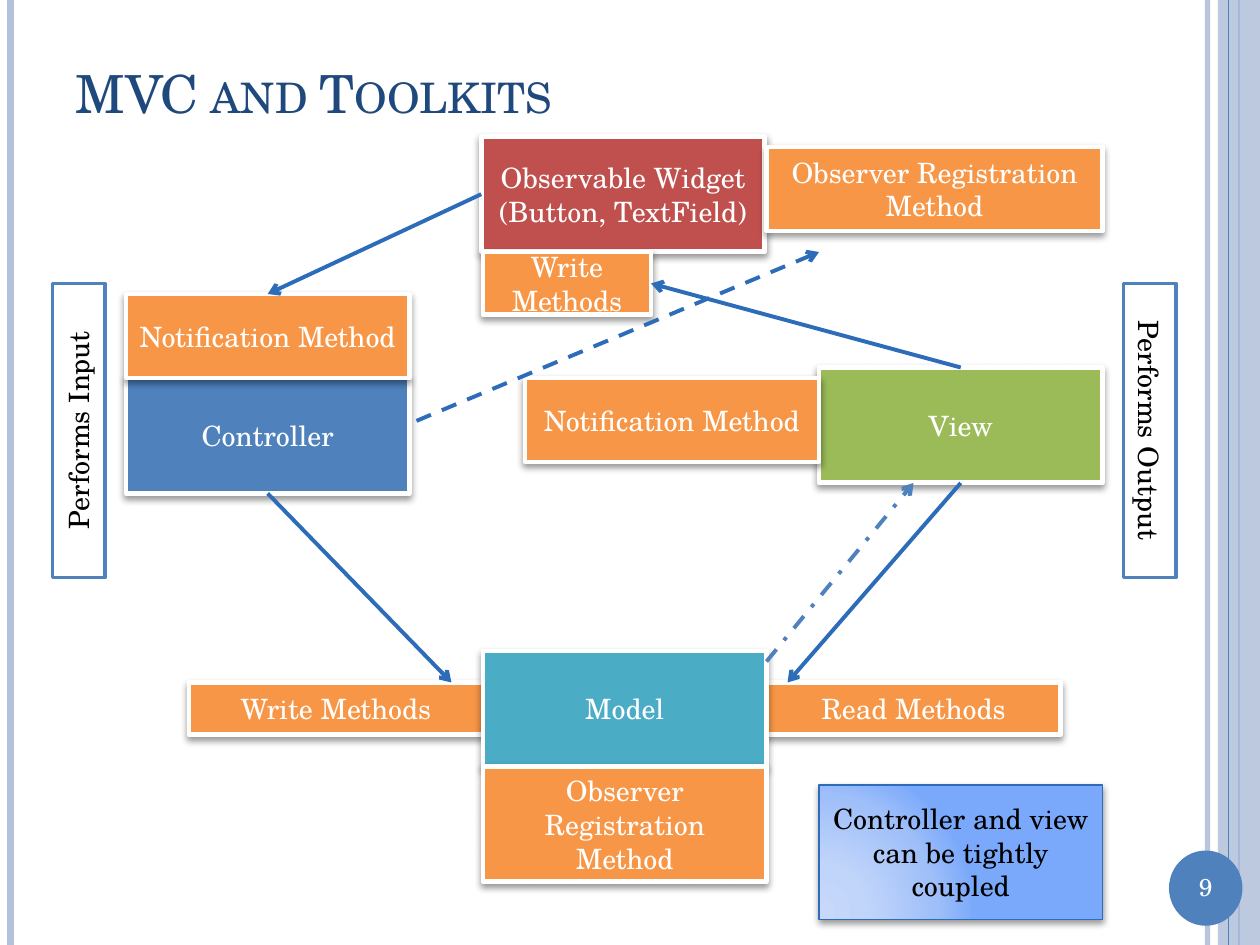
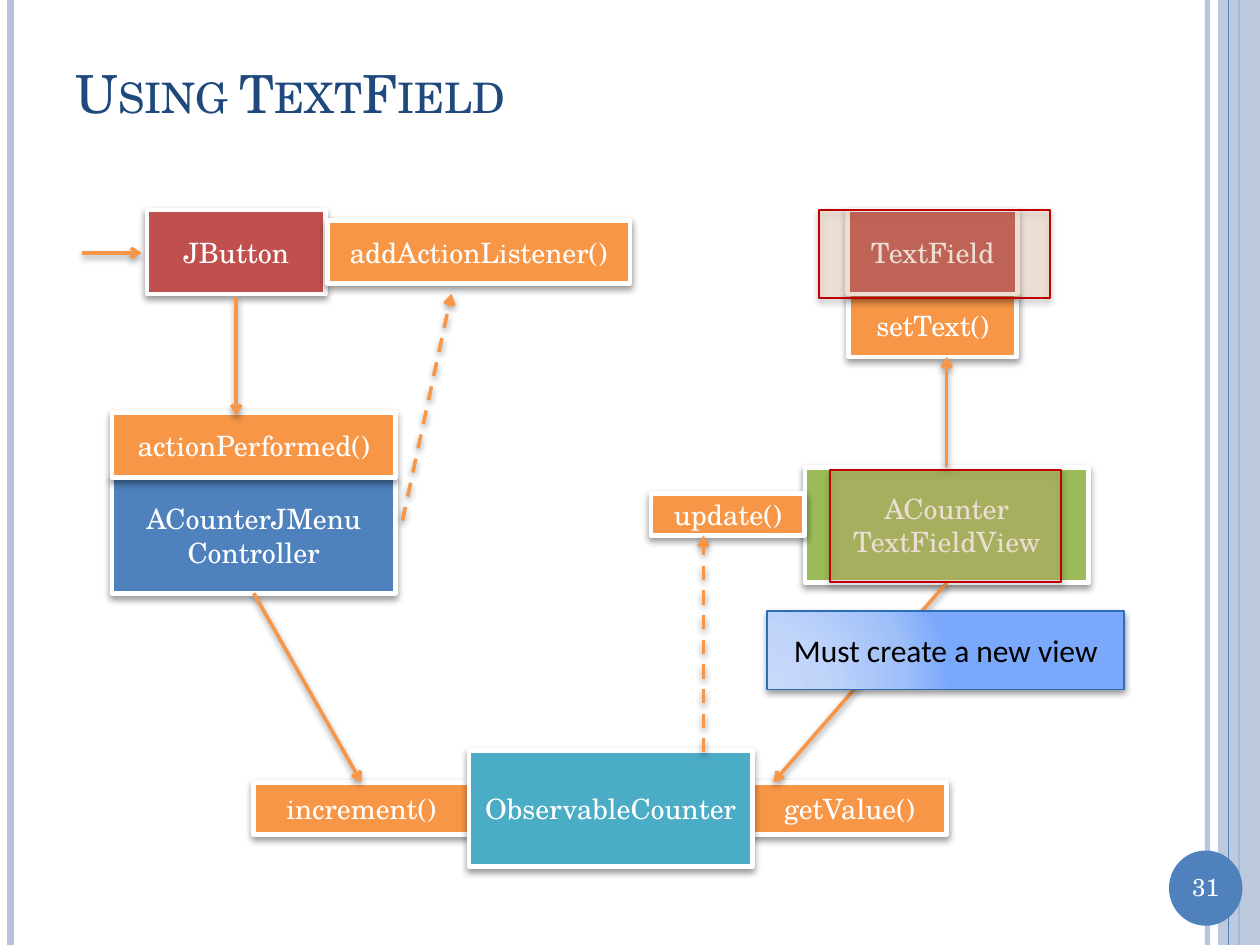
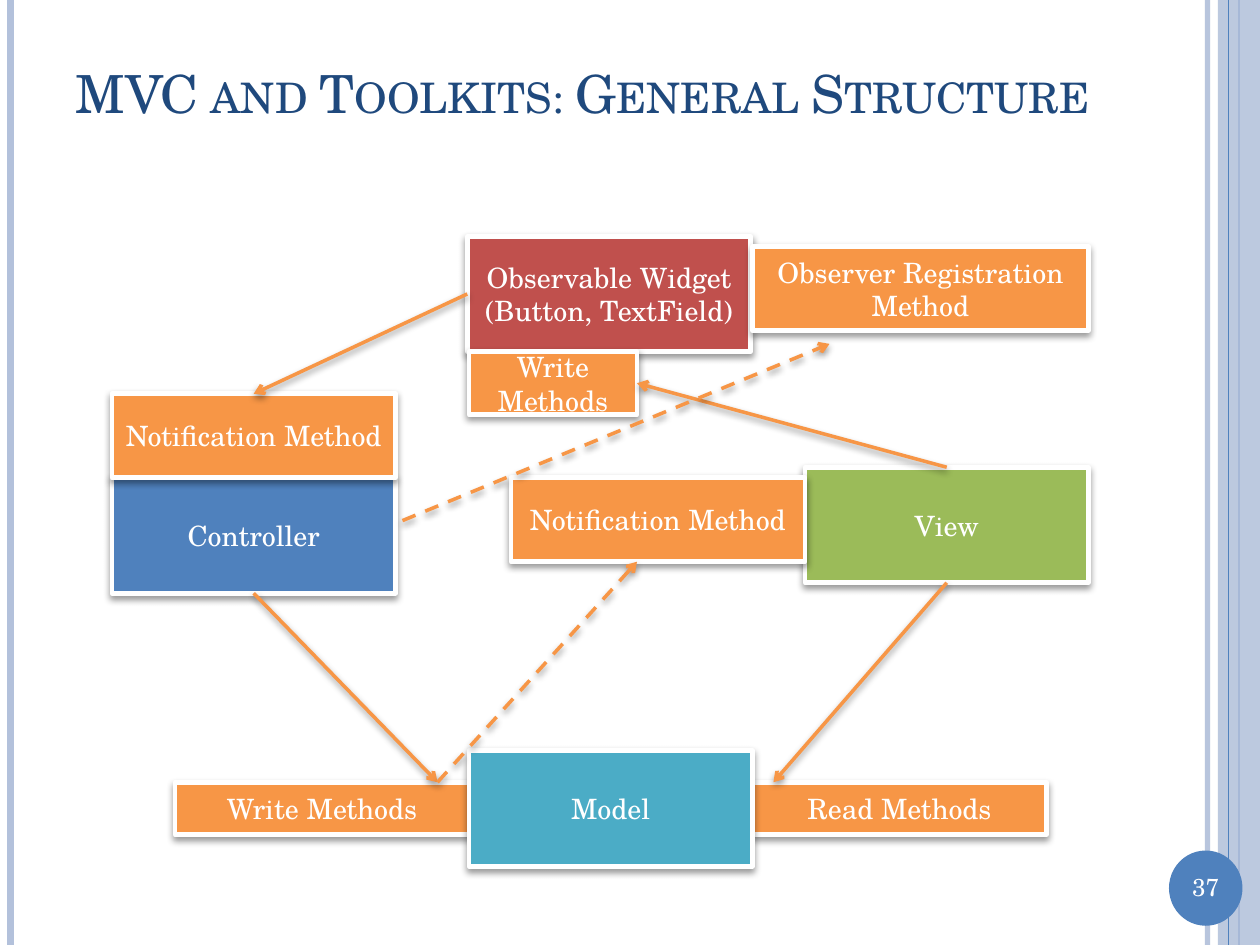
from pptx import Presentation
from pptx.dml.color import RGBColor as RGB
from pptx.enum.dml import MSO_LINE as Dash
from pptx.enum.shapes import MSO_CONNECTOR as Conn, MSO_SHAPE as Kind
from pptx.enum.text import MSO_ANCHOR as Anchor, MSO_AUTO_SIZE as Fit, PP_ALIGN as Align
from pptx.oxml import parse_xml
from pptx.oxml.ns import nsdecls, qn
from pptx.util import Pt
from lxml.etree import SubElement


class Theme:
    font, plain = "TeX Gyre Schola", "Calibri"
    head, text, note, page = 30, 16, 18, 14
    white, black, navy = "FFFFFF", "000000", "1F497D"
    blue, deep, pale = "4F81BD", "2C6CB9", "B3C1DB"
    orange, red, green, teal = "F79646", "C0504D", "9BBB59", "4BACC6"
    peach, crimson = "FAC090", "C00000"
    glow = [(0, "C7D8FB"), (30, "C1D5FA"), (75, "9FBFF9"), (100, "7AA9FB")]


T = Theme

RULES = [(690, 3, T.pale, 93), (6, 4.5, T.pale, 100), (708, 1.5, T.blue, 100)]
BAND = (696, 0, 24, 540)
INNER = (702, 0.75, T.blue, 100)
DISC = (668, 486, 42, 43)
PAGE = (668, 495, 42, 24.5)
TITLE = (36, 21.5, 624, 62.5)

MODEL = (276, 372, 162, 66)
VIEW = (468, 210, 162, 66)
CTRL = (72, 216, 162, 66)

CORE = [
    ("Read Methods", (438, 390, 168, 30), T.orange),
    ("Write Methods", (108, 390, 168, 30), T.orange),
    ("Model", MODEL, T.teal),
    ("View", VIEW, T.green),
    ("Controller", CTRL, T.blue),
    ("Notification Method", (300, 216, 168, 48), T.orange),
    ("Notification Method", (72, 168, 162, 48), T.orange),
    ("Observable Widget (Button, TextField)", (275, 78, 162, 66), T.red),
    ("Observer Registration Method", (438, 84, 192, 48), T.orange),
    ("Write Methods", (276, 144, 96, 36), T.orange),
]
READ = ((549, 276), (450, 390))
FLOW = [READ, ((153, 282), (258, 390)), ((275, 111), (153, 168)), ((549, 210), (372, 162))]
JOIN = (238, 240.5)
LOW = (-8, 57)

SLIDES = [
    {
        "title": "MVC and Toolkits", "page": "9", "shift": (0, 0),
        "pen": (T.deep, 2.25, False),
        "boxes": CORE + [("Observer Registration Method", (276, 438, 162, 66), T.orange)],
        "links": FLOW + [
            ((438, 378), (522, 276), Dash.DASH_DOT, T.blue),
            (JOIN, (468, 144), Dash.DASH),
        ],
        "tags": [("Performs Input", (-39, 231, 168, 30), 270),
                 ("Performs Output", (573, 231, 168, 30), 90)],
        "note": ("Controller and view can be tightly coupled",
                 (468, 448.5, 162, 77), T.text, T.font),
    },
    {
        "title": "Using TextField", "page": "31", "shift": LOW,
        "pen": (T.orange, 2, True),
        "boxes": [
            ("getValue()", (438, 390, 111, 30), T.orange),
            ("increment()", (153, 390, 123, 30), T.orange),
            ("ObservableCounter", MODEL, T.teal),
            ("ACounter TextFieldView", VIEW, T.green),
            ("ACounterJMenu Controller", CTRL, T.blue),
            ("update()", (380, 225, 88, 24), T.orange),
            ("actionPerformed()", (72, 178.5, 162, 37.5), T.orange),
            ("JButton", (92, 63, 102, 48), T.red),
            ("setText()", (493, 111, 96, 36), T.orange),
            ("TextField", (492.5, 63, 97, 48), T.red),
            ("addActionListener()", (195, 69, 173, 36), T.orange),
        ],
        "links": [
            READ,
            ((153, 282), (214.5, 390)),
            ((410, 373), (410, 249), Dash.DASH),
            ((143, 113), (143, 180.5)),
            ((549, 210), (549, 147)),
            (JOIN, (266, 111), Dash.DASH),
            ((55, 87.5), (89, 87.5)),
        ],
        "veils": [(476, 63, 132, 50.5), (482.5, 211.5, 132, 64)],
        "note": ("Must create a new view", (446.5, 292, 204, 45), T.note, T.plain),
    },
    {
        "title": "MVC and Toolkits: General Structure", "page": "37", "shift": LOW,
        "pen": (T.orange, 2, True),
        "boxes": CORE,
        "links": FLOW + [((258, 390), (372, 264), Dash.DASH),
                         (JOIN, (482, 139.5), Dash.DASH)],
    },
]


def hue(code):
    return RGB.from_string(code)


def move(rect, shift):
    x, y, w, h = rect
    return x + shift[0], y + shift[1], w, h


def fade(fill, pct):
    SubElement(fill.find(".//" + qn("a:srgbClr")), qn("a:alpha")).set("val", str(pct * 1000))


def shade(spot):
    spot.append(parse_xml(
        f'<a:outerShdw {nsdecls("a")} blurRad="{Pt(4)}" dist="{Pt(2)}" dir="5400000"'
        ' rotWithShape="0"><a:srgbClr val="000000"><a:alpha val="40000"/></a:srgbClr>'
        '</a:outerShdw>'))


def write(shape, text, size, color, font=T.font, align=Align.CENTER):
    frame = shape.text_frame
    frame.text = text
    frame.word_wrap = True
    para = frame.paragraphs[0]
    para.alignment = align
    style = para.runs[0].font
    style.size, style.name, style.color.rgb = Pt(size), font, hue(color)
    return frame


def block(slide, rect, fill, line=None, width=0, shadow=False, kind=Kind.RECTANGLE):
    shape = slide.shapes.add_shape(kind, *map(Pt, rect))
    shape.fill.solid()
    shape.fill.fore_color.rgb = hue(fill)
    if line:
        shape.line.color.rgb = hue(line)
        shape.line.width = Pt(width)
    else:
        shape.line.fill.background()
    shape.shadow.inherit = False
    if shadow:
        shade(shape.element.spPr.find(qn("a:effectLst")))
    shape.text_frame.vertical_anchor = Anchor.MIDDLE
    return shape


def stroke(slide, start, end, color, width, shadow=False):
    line = slide.shapes.add_connector(Conn.STRAIGHT, *map(Pt, start + end))
    line.line.color.rgb = hue(color)
    line.line.width = Pt(width)
    spot = SubElement(line.element.spPr, qn("a:effectLst"))
    if shadow:
        shade(spot)
    return line


def link(slide, shift, pen, start, end, dash=None, color=None):
    ends = [(x + shift[0], y + shift[1]) for x, y in (start, end)]
    line = stroke(slide, *ends, color or pen[0], *pen[1:])
    if dash:
        line.line.dash_style = dash
    SubElement(line.element.spPr.find(qn("a:ln")), qn("a:tailEnd")).set("type", "arrow")


def rule(slide, x, width, color, pct):
    line = stroke(slide, (x, 0), (x, 540), color, width)
    if pct < 100:
        fade(line.element.spPr, pct)
    return line


def dress(layout, slide):
    parts = [rule(slide, *item) for item in RULES]
    band = block(slide, BAND, T.pale)
    fade(band.element.spPr, 87)
    parts += [band, rule(slide, *INNER), block(slide, DISC, T.blue, kind=Kind.OVAL)]
    for part in parts:
        layout.shapes.element.append(part.element)


def add_note(slide, shift, text, rect, size, font):
    shape = block(slide, move(rect, shift), T.white, T.deep, 1, True)
    stops = "".join(f'<a:gs pos="{at * 1000}"><a:srgbClr val="{code}"/></a:gs>'
                    for at, code in T.glow)
    props = shape.element.spPr
    props.replace(props.find(qn("a:solidFill")), parse_xml(
        f'<a:gradFill {nsdecls("a")} rotWithShape="1"><a:gsLst>{stops}</a:gsLst>'
        '<a:path path="circle"><a:fillToRect l="5000" t="100000" r="120000" b="10000"/>'
        '</a:path></a:gradFill>'))
    write(shape, text, size, T.black, font)


def add_head(slide, text, page):
    title = slide.shapes.title
    title.left, title.top, title.width, title.height = map(Pt, TITLE)
    frame = write(title, text, T.head, T.navy, align=Align.LEFT)
    frame.vertical_anchor = Anchor.MIDDLE
    frame.auto_size = Fit.NONE
    frame.paragraphs[0].runs[0].font._element.set("cap", "small")
    write(slide.shapes.add_textbox(*map(Pt, PAGE)), page, T.page, T.white)


def fill_slide(slide, data):
    shift = data["shift"]
    add_head(slide, data["title"], data["page"])
    for text, rect, color in data["boxes"]:
        box = block(slide, move(rect, shift), color, T.white, 2.75, True)
        write(box, text, T.text, T.white)
    for item in data["links"]:
        link(slide, shift, data["pen"], *item)
    for text, rect, turn in data.get("tags", []):
        tag = block(slide, move(rect, shift), T.white, T.blue, 2)
        tag.rotation = turn
        write(tag, text, T.text, T.black)
    for rect in data.get("veils", []):
        veil = block(slide, move(rect, shift), T.peach, T.crimson, 1, True)
        fade(veil.element.spPr.find(qn("a:solidFill")), 23)
    if "note" in data:
        add_note(slide, shift, *data["note"])


def main():
    deck = Presentation()
    deck.slide_width, deck.slide_height = Pt(720), Pt(540)
    layout = deck.slide_layouts[5]
    slides = [deck.slides.add_slide(layout) for _ in SLIDES]
    dress(layout, slides[0])
    for slide, data in zip(slides, SLIDES):
        fill_slide(slide, data)
    deck.save("out.pptx")


if __name__ == "__main__":
    main()
